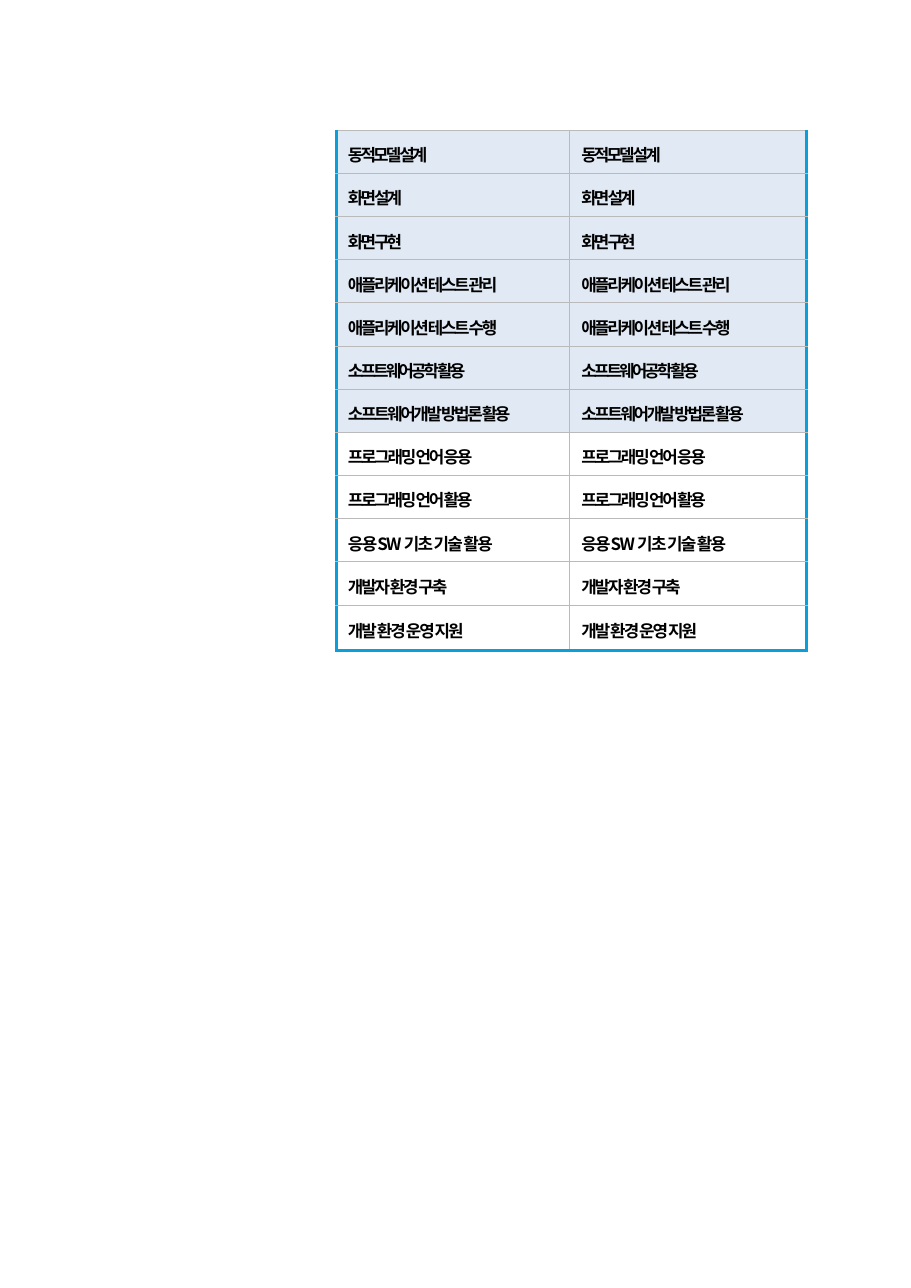
from dataclasses import dataclass

from lxml import etree
from pptx import Presentation
from pptx import util as u
from pptx.dml.color import RGBColor
from pptx.enum import text
from pptx.oxml import ns


@dataclass(frozen=True)
class Theme:
    font: str = "Noto Sans CJK KR"
    size: float = 11
    ink: str = "000000"
    shade: str = "E1EAF4"
    frame: str = "0A9FD9"
    grid: str = "BABABA"
    frame_width: float = 2
    grid_width: float = 0.36


# Unit name, letter spacing in points
SHADED_UNITS = [
    ("동적모델 설계", -1.9),
    ("화면 설계", -1.9),
    ("화면 구현", -1.9),
    ("애플리케이션 테스트 관리", -1.6),
    ("애플리케이션 테스트 수행", -1.6),
    ("소프트웨어공학 활용", -1.9),
    ("소프트웨어개발 방법론 활용", -1.6),
]
PLAIN_UNITS = [
    ("프로그래밍 언어 응용", -1.5),
    ("프로그래밍 언어 활용", -1.5),
    ("응용SW 기초 기술 활용", -1.1),
    ("개발자 환경 구축", -1.4),
    ("개발 환경 운영 지원", -1.3),
]
COLUMN_WIDTHS = [5.38, 5.46]
ROW_HEIGHT = 0.995
LAST_ROW_HEIGHT = 1.06


class SlideBuilder:
    def __init__(self, slide, theme):
        self.slide = slide
        self.theme = theme

    def unit_table(self, left, top, units, shaded_count):
        """Add a table that shows each unit name once in every column."""
        heights = [ROW_HEIGHT] * (len(units) - 1) + [LAST_ROW_HEIGHT]
        frame = self.slide.shapes.add_table(
            len(units), len(COLUMN_WIDTHS), u.Cm(left), u.Cm(top),
            u.Cm(sum(COLUMN_WIDTHS)), u.Cm(sum(heights)))
        table = frame.table
        table.first_row = table.horz_banding = False
        for column, width in zip(table.columns, COLUMN_WIDTHS):
            column.width = u.Cm(width)
        for row, height in zip(table.rows, heights):
            row.height = u.Cm(height)

        last_row, last_column = len(units) - 1, len(COLUMN_WIDTHS) - 1
        for row, (name, spacing) in enumerate(units):
            for column in range(len(COLUMN_WIDTHS)):
                cell = table.cell(row, column)
                self.borders(cell, {
                    "lnL": column == 0,
                    "lnR": column == last_column,
                    "lnT": False,
                    "lnB": row == last_row,
                })
                self.fill(cell, row < shaded_count)
                self.label(cell, name, spacing)

    def borders(self, cell, framed_sides):
        properties = cell._tc.get_or_add_tcPr()
        for side, framed in framed_sides.items():
            color = self.theme.frame if framed else self.theme.grid
            width = self.theme.frame_width if framed else self.theme.grid_width
            line = etree.SubElement(properties, ns.qn(f"a:{side}"), w=str(u.Pt(width)))
            solid = etree.SubElement(line, ns.qn("a:solidFill"))
            etree.SubElement(solid, ns.qn("a:srgbClr"), val=color)

    def fill(self, cell, shaded):
        if shaded:
            cell.fill.solid()
            cell.fill.fore_color.rgb = RGBColor.from_string(self.theme.shade)
        else:
            cell.fill.background()

    def label(self, cell, name, spacing):
        cell_format = {
            "margin_left": u.Cm(0.27),
            "margin_right": 0,
            "margin_top": u.Cm(0.12),
            "margin_bottom": 0,
            "vertical_anchor": text.MSO_ANCHOR.MIDDLE,
        }
        for attribute, value in cell_format.items():
            setattr(cell, attribute, value)

        run = cell.text_frame.paragraphs[0].add_run()
        run.text = name
        font_format = {
            "name": self.theme.font,
            "size": u.Pt(self.theme.size),
            "bold": True,
        }
        for attribute, value in font_format.items():
            setattr(run.font, attribute, value)
        run.font.color.rgb = RGBColor.from_string(self.theme.ink)
        properties = run._r.get_or_add_rPr()
        properties.set("spc", str(round(spacing * 100)))
        etree.SubElement(properties, ns.qn("a:ea"), typeface=self.theme.font)


def main():
    presentation = Presentation()
    presentation.slide_width = u.Cm(21)
    presentation.slide_height = u.Cm(29.7)
    blank_layout = presentation.slide_layouts[6]
    builder = SlideBuilder(presentation.slides.add_slide(blank_layout), Theme())
    builder.unit_table(7.75, 3, SHADED_UNITS + PLAIN_UNITS, len(SHADED_UNITS))
    presentation.save("out.pptx")


if __name__ == "__main__":
    main()
